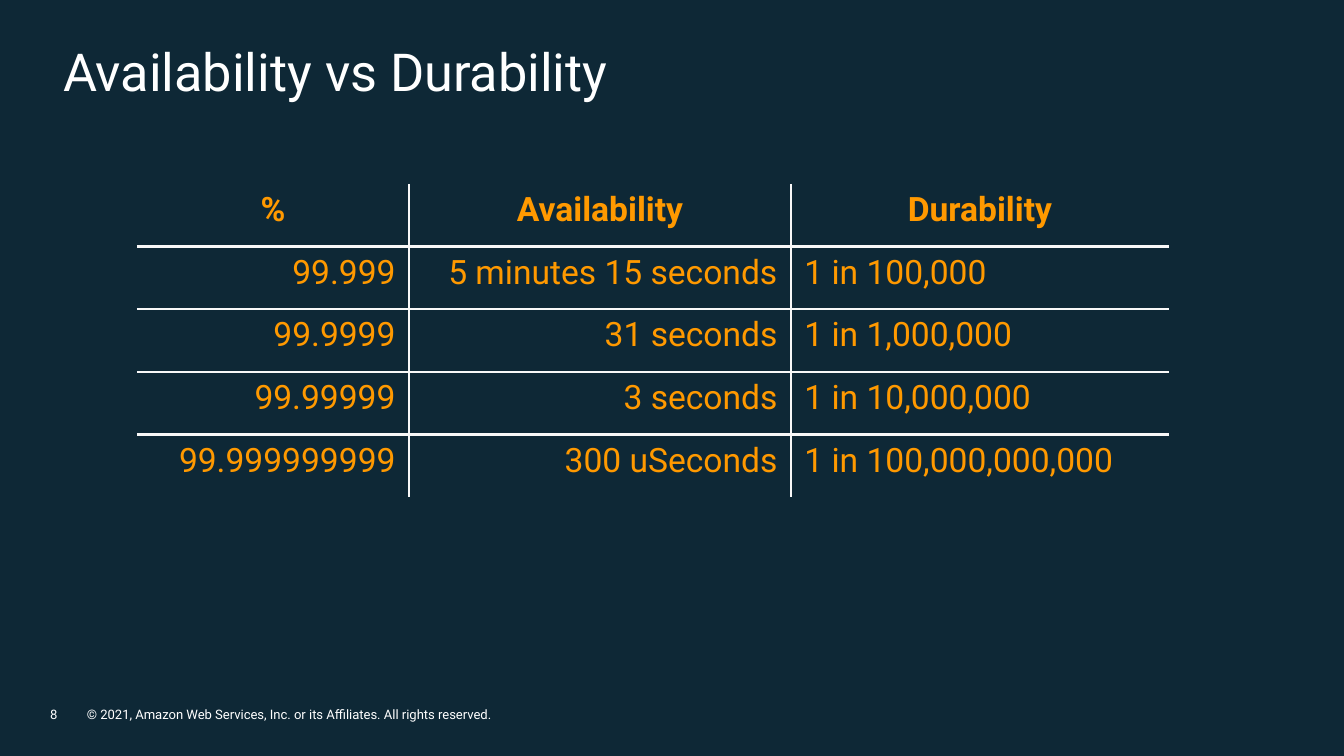
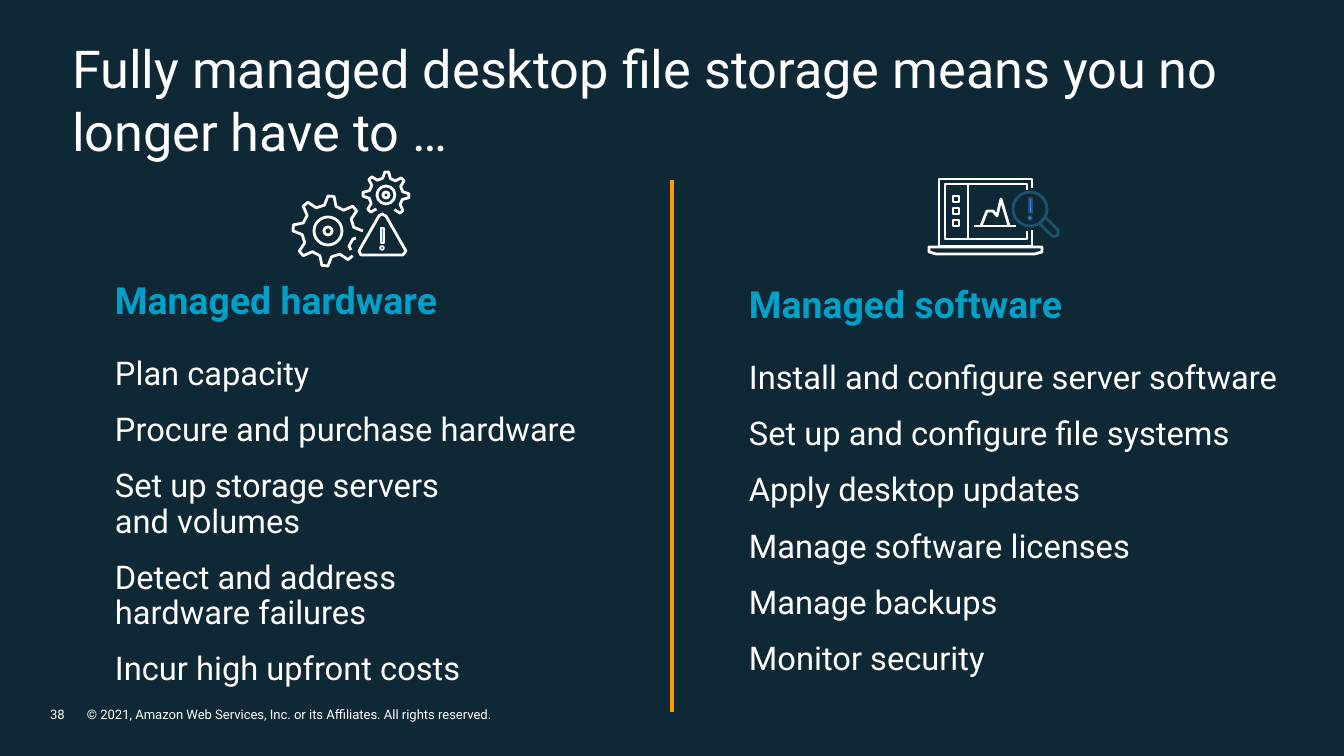
from math import cos, radians, sin

from lxml.etree import SubElement
from pptx import Presentation
from pptx.dml.color import RGBColor
from pptx.enum.shapes import MSO_CONNECTOR, MSO_SHAPE
from pptx.enum.text import MSO_ANCHOR, MSO_AUTO_SIZE, PP_ALIGN
from pptx.oxml.ns import qn
from pptx.util import Emu, Pt

FONT = "Roboto"
NAVY, WHITE, ORANGE, CYAN = "0E2836", "FFFFFF", "FF9900", "00A0C8"
BLUE, STEEL, GRID = "527FFF", "1D516C", "F8F8F8"
COPYRIGHT = "© 2021, Amazon Web Services, Inc. or its Affiliates. All rights reserved."

LEVELS_TITLE = "Availability vs Durability"
LEVELS = [
    ("%", "Availability", "Durability"),
    ("99.999", "5 minutes 15 seconds", "1 in 100,000"),
    ("99.9999", "31 seconds", "1 in 1,000,000"),
    ("99.99999", "3 seconds", "1 in 10,000,000"),
    ("99.999999999", "300 uSeconds", "1 in 100,000,000,000"),
]
LEVEL_WIDTHS = (272, 382, 378)
LEVEL_ALIGNS = (PP_ALIGN.RIGHT, PP_ALIGN.RIGHT, PP_ALIGN.LEFT)

MANAGED_TITLE = "Fully managed desktop file storage means you no longer have to …"
MANAGED = [
    ((98, 269, 504, 485), "Managed hardware", [
        "Plan capacity",
        "Procure and purchase hardware",
        "Set up storage servers\vand volumes",
        "Detect and address\vhardware failures",
        "Incur high upfront costs",
    ]),
    ((732, 273, 581, 482), "Managed software", [
        "Install and configure server software",
        "Set up and configure file systems",
        "Apply desktop updates",
        "Manage software licenses",
        "Manage backups",
        "Monitor security",
    ]),
]

GEAR_LINK = [(351, 250), (349, 246), (353, 239), (356, 238)]
WARNING = [(379, 216), (359, 251), (361, 255), (403, 255), (406, 251), (386, 216), (382, 214)]
LAPTOP_BASE = [(929, 247), (929, 252), (936, 254), (1035, 254), (1042, 252), (1042, 247)]
LAPTOP_FRAMES = [
    [(1032, 230), (1032, 246), (939, 246), (939, 179), (1032, 179), (1032, 188)],
    [(1027, 231), (1027, 239), (945, 239), (945, 184), (1027, 184), (1027, 190)],
]
SCREEN_CHART = [(981, 226), (987, 211), (993, 211), (997, 216), (1001, 199), (1009, 226)]
LENS_HANDLE = [(1044, 216), (1058, 230), (1058, 235), (1054, 237), (1051, 235), (1039, 223)]


def px(n):
    return Emu(round(n * 9144000 / 1344))


def color(hex_code):
    return RGBColor.from_string(hex_code)


def style(p, size, hex_code, bold=False):
    for r in p.runs:
        r.font.name = FONT
        r.font.size = Pt(size)
        r.font.bold = bold
        r.font.color.rgb = color(hex_code)


def set_frame(tf, inset_x, inset_y):
    tf.word_wrap = True
    tf.auto_size = MSO_AUTO_SIZE.NONE
    tf.vertical_anchor = MSO_ANCHOR.TOP
    tf.margin_left = tf.margin_right = px(inset_x)
    tf.margin_top = tf.margin_bottom = px(inset_y)


def add_text(slide, box, inset_x=0, inset_y=0):
    tf = slide.shapes.add_textbox(*map(px, box)).text_frame
    set_frame(tf, inset_x, inset_y)
    return tf


def add_titled_slide(prs, title, box, number):
    slide = prs.slides.add_slide(prs.slide_layouts[5])
    sp = slide.shapes.title
    sp.left, sp.top, sp.width, sp.height = map(px, box)
    tf = sp.text_frame
    tf.text = title
    set_frame(tf, 13, 13)
    tf.paragraphs[0].alignment = PP_ALIGN.LEFT
    style(tf.paragraphs[0], 28, WHITE)
    for left, width, text in ((87, 438, COPYRIGHT), (50, 37, number)):
        tf = add_text(slide, (left, 707, width, 16))
        tf.text = text
        style(tf.paragraphs[0], 7, WHITE)
    return slide


def outline(sp, hex_code, width=1.5, fill=None):
    sp.shadow.inherit = False
    if fill:
        sp.fill.solid()
        sp.fill.fore_color.rgb = color(fill)
    else:
        sp.fill.background()
    sp.line.color.rgb = color(hex_code)
    sp.line.width = Pt(width)


def add_path(slide, points, hex_code=WHITE, close=False):
    start, *rest = [(px(x), px(y)) for x, y in points]
    builder = slide.shapes.build_freeform(*start)
    builder.add_line_segments(rest, close=close)
    outline(builder.convert_to_shape(), hex_code)


def add_preset(slide, kind, box, hex_code=WHITE, width=1.5, fill=None):
    outline(slide.shapes.add_shape(kind, *map(px, box)), hex_code, width, fill)


def add_circle(slide, cx, cy, radius, hex_code=WHITE):
    add_preset(slide, MSO_SHAPE.OVAL, (cx - radius, cy - radius, 2 * radius, 2 * radius), hex_code)


def add_line(slide, x1, y1, x2, y2, hex_code=WHITE, width=1.5):
    line = slide.shapes.add_connector(MSO_CONNECTOR.STRAIGHT, *map(px, (x1, y1, x2, y2)))
    line.line.color.rgb = color(hex_code)
    line.line.width = Pt(width)
    SubElement(line._element.spPr, qn("a:effectLst"))


def gear_points(cx, cy, tip, root, first_angle, teeth):
    """Outline points of teeth set 45 degrees apart, clockwise from first_angle."""
    corners = ((-13, root), (-5, tip), (5, tip), (13, root))
    polar = [(radians(first_angle + 45 * i + turn), radius)
             for i in range(teeth) for turn, radius in corners]
    return [(cx + radius * cos(a), cy + radius * sin(a)) for a, radius in polar]


def add_exclamation(slide, cx, top, hex_code):
    add_preset(slide, MSO_SHAPE.RECTANGLE, (cx - 1, top, 3, 15), hex_code, 0.75, BLUE)
    add_preset(slide, MSO_SHAPE.OVAL, (cx - 2, top + 18, 4, 4), hex_code, 0.75, BLUE)


def draw_hardware_icon(slide):
    add_path(slide, gear_points(328, 231, 35, 26, 50, 8)[1:-2])
    add_path(slide, GEAR_LINK)
    add_path(slide, gear_points(386, 195, 23, 17, 137, 7))
    for cx, cy, radii in ((328, 231, (14, 4)), (386, 195, (9, 3))):
        for radius in radii:
            add_circle(slide, cx, cy, radius)
    add_path(slide, WARNING, close=True)
    add_exclamation(slide, 382, 228, WHITE)


def draw_software_icon(slide):
    add_path(slide, LAPTOP_BASE, close=True)
    for frame in LAPTOP_FRAMES:
        add_path(slide, frame)
    add_line(slide, 968, 184, 968, 239)
    add_exclamation(slide, 1030, 198, STEEL)
    add_circle(slide, 1030, 209, 17, STEEL)
    add_path(slide, LENS_HANDLE, STEEL)
    add_line(slide, 974, 226, 1016, 226)
    add_path(slide, SCREEN_CHART)
    for i in range(3):
        add_preset(slide, MSO_SHAPE.RECTANGLE, (953, 196 + 12 * i, 6, 6))


def set_borders(cell, **visible):
    tc_pr = cell._tc.get_or_add_tcPr()
    for side in "LRTB":
        ln = SubElement(tc_pr, qn(f"a:ln{side}"), w=str(Pt(1.5)))
        if visible[side]:
            fill = SubElement(ln, qn("a:solidFill"))
            SubElement(fill, qn("a:srgbClr"), val=GRID)
        else:
            SubElement(ln, qn("a:noFill"))


def add_levels_table(slide):
    rows, cols = len(LEVELS), len(LEVEL_WIDTHS)
    table = slide.shapes.add_table(
        rows, cols, px(137), px(184), px(sum(LEVEL_WIDTHS)), px(313)).table
    table.first_row = table.horz_banding = False
    for column, width in zip(table.columns, LEVEL_WIDTHS):
        column.width = px(width)
    for i, row in enumerate(LEVELS):
        for j, text in enumerate(row):
            cell = table.cell(i, j)
            set_borders(cell, L=j > 0, R=j < cols - 1, T=i > 0, B=i < rows - 1)
            cell.fill.background()
            p = cell.text_frame.paragraphs[0]
            p.text = text
            p.alignment = LEVEL_ALIGNS[j] if i else PP_ALIGN.CENTER
            style(p, 18, ORANGE, bold=i == 0)


def add_duties(slide, box, heading, duties):
    tf = add_text(slide, box, 17, 13)
    for i, text in enumerate([heading, *duties]):
        p = tf.add_paragraph() if i else tf.paragraphs[0]
        p.text = text
        p.line_spacing = 0.9
        if i:
            p.space_before = Pt(18.8 if i == 1 else 11.2)
            style(p, 17.5, WHITE)
        else:
            style(p, 20, CYAN, bold=True)


def main():
    prs = Presentation()
    prs.slide_width, prs.slide_height = px(1344), px(756)
    background = prs.slide_master.background.fill
    background.solid()
    background.fore_color.rgb = color(NAVY)

    slide = add_titled_slide(prs, LEVELS_TITLE, (50, 26, 1206, 81), "8")
    add_levels_table(slide)

    slide = add_titled_slide(prs, MANAGED_TITLE, (59, 23, 1285, 75), "38")
    for column in MANAGED:
        add_duties(slide, *column)
    add_line(slide, 672, 180, 672, 712, ORANGE, 2)
    draw_hardware_icon(slide)
    draw_software_icon(slide)
    prs.save("out.pptx")


if __name__ == "__main__":
    main()
